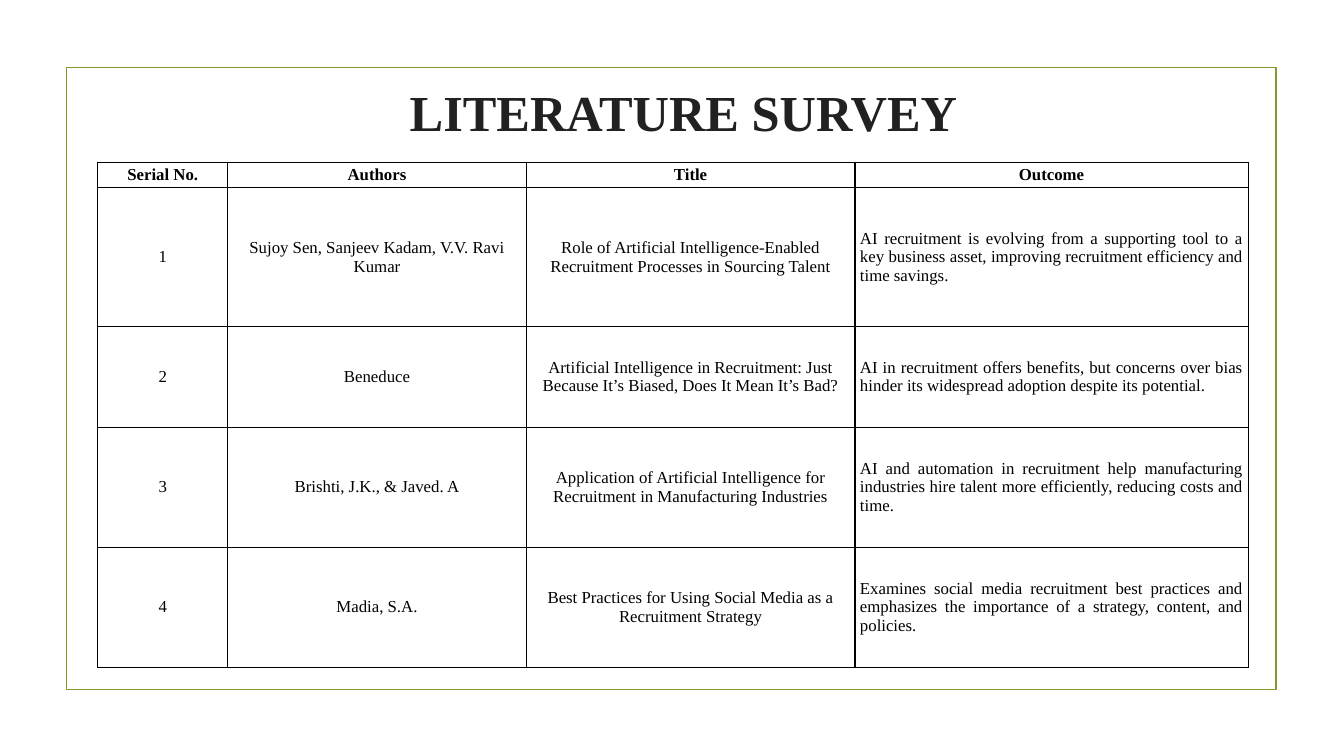
from lxml.etree import SubElement as Sub
from pptx import Presentation
from pptx.dml.color import RGBColor
from pptx.enum.shapes import MSO_SHAPE as Shape
from pptx.enum.text import MSO_ANCHOR as Anchor, MSO_AUTO_SIZE as Auto, PP_ALIGN as Align
from pptx.oxml.ns import qn
from pptx.util import Inches, Pt

GREEN = RGBColor(0x83, 0x99, 0x2A)
DARK = RGBColor(0x21, 0x21, 0x21)
BLACK = RGBColor(0, 0, 0)
FACE = "Times New Roman"
UNIT = Inches(0.01)


def place(*cells):
    return [cell * UNIT for cell in cells]


def style(font, color, **form):
    font.color.rgb = color
    for key, val in {"name": FACE, **form}.items():
        setattr(font, key, val)


deck = Presentation()
deck.slide_width, deck.slide_height = Inches(13.33), Inches(7.5)
slide = deck.slides.add_slide(deck.slide_layouts[5])

frame = slide.shapes.add_shape(Shape.RECTANGLE, *place(66, 67, 1200, 617))
frame.shadow.inherit = False
frame.fill.background()
frame.line.color.rgb = GREEN
frame.line.width = Pt(1.25)

title = slide.shapes.title
title.left, title.top, title.width, title.height = place(158, 28, 940, 102)
body = title.text_frame
form = {
    "text": "LITERATURE SURVEY",
    "word_wrap": True,
    "auto_size": Auto.NONE,
    "vertical_anchor": Anchor.TOP,
    "margin_top": Inches(0.1),
}
for key, val in form.items():
    setattr(body, key, val)
head = body.paragraphs[0]
head.alignment = Align.CENTER
head.line_spacing = 1.7
head._p.get_or_add_pPr().set("marL", str(Inches(1)))
style(head.runs[0].font, DARK, size=Pt(36), bold=True)

rows = [
    ("Serial No.", "Authors", "Title", "Outcome"),
    ("1", "Sujoy Sen, Sanjeev Kadam, V.V. Ravi Kumar",
     "Role of Artificial Intelligence-Enabled Recruitment Processes in Sourcing Talent",
     "AI recruitment is evolving from a supporting tool to a key business asset, "
     "improving recruitment efficiency and time savings."),
    ("2", "Beneduce",
     "Artificial Intelligence in Recruitment: Just Because It’s Biased, Does It Mean It’s Bad?",
     "AI in recruitment offers benefits, but concerns over bias hinder its "
     "widespread adoption despite its potential."),
    ("3", "Brishti, J.K., & Javed. A",
     "Application of Artificial Intelligence for Recruitment in Manufacturing Industries",
     "AI and automation in recruitment help manufacturing industries hire talent "
     "more efficiently, reducing costs and time."),
    ("4", "Madia, S.A.",
     "Best Practices for Using Social Media as a Recruitment Strategy",
     "Examines social media recruitment best practices and emphasizes the "
     "importance of a strategy, content, and policies."),
]
wide = [129, 296, 326, 390]
tall = [25, 138, 100, 119, 119]
form = {
    "vertical_anchor": Anchor.MIDDLE,
    "margin_left": Inches(0.05),
    "margin_right": Inches(0.05),
    "margin_top": Inches(0.02),
    "margin_bottom": Inches(0.02),
}
area = place(97, 161, sum(wide), sum(tall))
table = slide.shapes.add_table(len(rows), len(wide), *area).table
table.horz_banding = False
for col, size in zip(table.columns, wide):
    col.width = size * UNIT
for row, size in zip(table.rows, tall):
    row.height = size * UNIT

for r, row in enumerate(rows):
    for c, text in enumerate(row):
        cell = table.cell(r, c)
        cell.text = text
        for key, val in form.items():
            setattr(cell, key, val)
        para = cell.text_frame.paragraphs[0]
        para.alignment = Align.JUSTIFY if r and c == 3 else Align.CENTER
        style(para.runs[0].font, BLACK, size=Pt(12), bold=r == 0)
        prop = cell._tc.get_or_add_tcPr()
        for side in ("lnL", "lnR", "lnT", "lnB"):
            line = Sub(prop, qn("a:" + side), w=str(Pt(1)))
            Sub(Sub(line, qn("a:solidFill")), qn("a:srgbClr"), val=str(BLACK))
        cell.fill.background()

deck.save("out.pptx")
